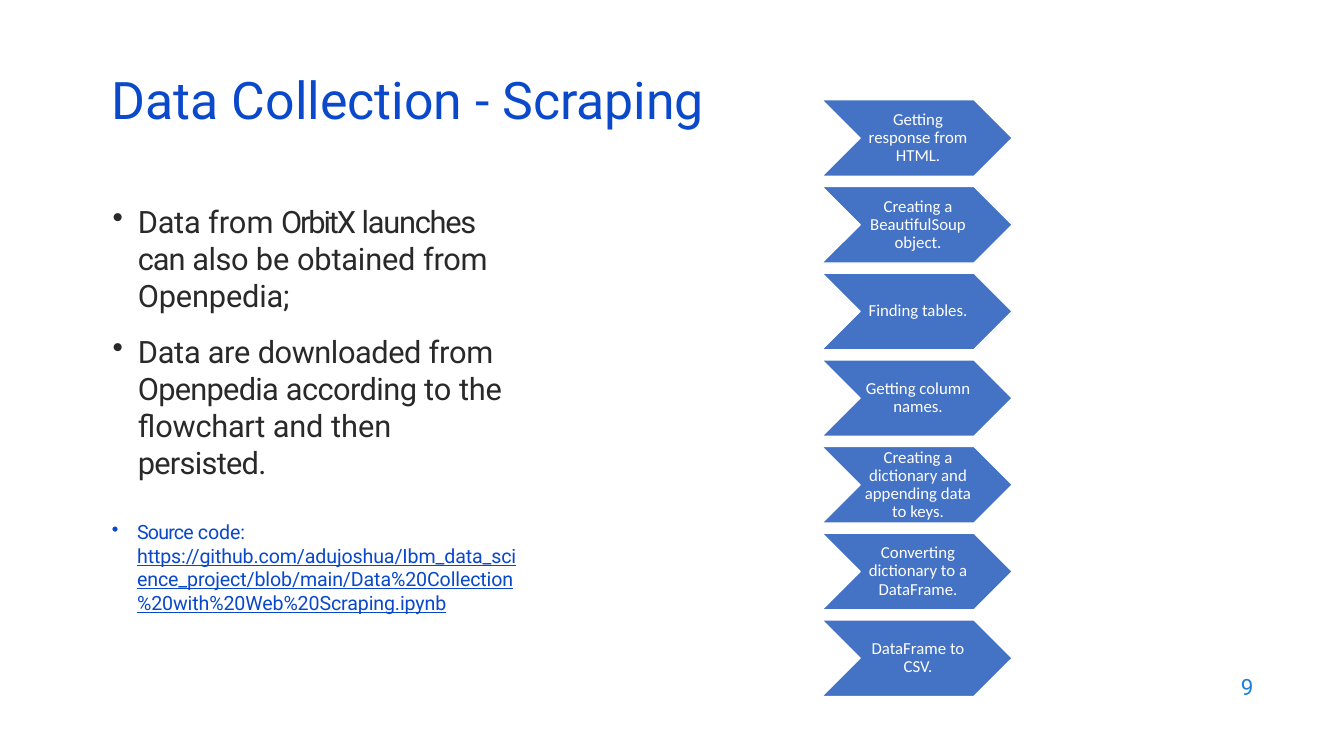
from pptx import Presentation
from pptx.dml.color import RGBColor
from pptx.enum.shapes import MSO_SHAPE
from pptx.enum.text import MSO_ANCHOR, MSO_AUTO_SIZE, PP_ALIGN
from pptx.oxml.ns import qn
from pptx.util import Inches, Pt

TITLE_BLUE = RGBColor(0x0B, 0x49, 0xCB)
SOURCE_BLUE = RGBColor(0x09, 0x48, 0xCB)
NUMBER_BLUE = RGBColor(0x1C, 0x7D, 0xDB)
STEP_BLUE = RGBColor(0x44, 0x72, 0xC4)
INK = RGBColor(0x29, 0x29, 0x29)
WHITE = RGBColor(0xFF, 0xFF, 0xFF)

TITLE = "Data Collection - Scraping"
PAGE_NUMBER = "9"
# Each bullet is a list of (text, letter spacing in points).
POINTS = [
    [("Data ", -0.2), ("from ", 0), ("OrbitX ", -1.5), ("launches ", -0.9),
     ("can ", -0.7), ("also ", -0.3), ("be ", 0), ("obtained ", -0.1),
     ("from ", -0.2), ("Openpedia;", -0.1)],
    [("Data are ", -0.2), ("downloaded ", -0.3), ("from ", -0.2),
     ("Openpedia ", -0.5), ("according ", -0.4), ("to ", 0),
     ("the flowchart ", -0.2), ("and ", -0.1), ("then ", 0),
     ("persisted.", -0.5)],
]
SOURCE_LABEL = [("Source ", -0.6), ("code: ", -0.1)]
SOURCE_URL = ("https://github.com/adujoshua/Ibm_data_science_project/blob/main/"
              "Data%20Collection%20with%20Web%20Scraping.ipynb", -0.1)
STEPS = [
    "Getting response from HTML.",
    "Creating a BeautifulSoup object.",
    "Finding tables.",
    "Getting column names.",
    "Creating a dictionary and appending data to keys.",
    "Converting dictionary to a DataFrame.",
    "DataFrame to CSV.",
]

STEP_LEFT, STEP_TOP, STEP_WIDTH, STEP_HEIGHT = 8.15, 0.99, 1.89, 0.76
STEP_PITCH = 0.86


def write(paragraph, runs, size, color, font="Roboto", align=PP_ALIGN.LEFT,
          line_spacing=1.0, space_before=0, bullet=False, underline=None):
    """Fill a paragraph with (text, letter spacing) runs, or one plain string."""
    paragraph.alignment = align
    paragraph.line_spacing = line_spacing
    paragraph.space_before = Pt(space_before)
    if bullet:
        properties = paragraph._p.get_or_add_pPr()
        properties.set("marL", str(Inches(0.26)))
        properties.set("indent", str(Inches(-0.25)))
        mark = properties.makeelement(qn("a:buChar"), {"char": "•"})
        properties.append(mark)
    for text, spacing in [(runs, 0)] if isinstance(runs, str) else runs:
        run = paragraph.add_run()
        run.text = text
        run.font.name = font
        run.font.size = Pt(size)
        run.font.color.rgb = color
        run.font.underline = underline
        if spacing:
            run.font._element.set("spc", str(round(spacing * 100)))


def set_frame(shape, anchor=MSO_ANCHOR.TOP, insets=(0.1, 0.05, 0.1, 0.05)):
    frame = shape.text_frame
    frame.word_wrap = True
    frame.auto_size = MSO_AUTO_SIZE.NONE
    frame.vertical_anchor = anchor
    (frame.margin_left, frame.margin_top,
     frame.margin_right, frame.margin_bottom) = map(Inches, insets)
    return frame


def add_text_frame(slide, box, **layout):
    return set_frame(slide.shapes.add_textbox(*map(Inches, box)), **layout)


def add_title(slide):
    title = slide.shapes.title
    title.left, title.top, title.width, title.height = map(
        Inches, (1.01, 0.76, 11.5, 0.6))
    frame = set_frame(title, anchor=MSO_ANCHOR.MIDDLE)
    write(frame.paragraphs[0], TITLE, 37, TITLE_BLUE, line_spacing=0.7)


def add_points(slide):
    frame = add_text_frame(slide, (1.01, 1.96, 4.3, 3.1))
    for index, runs in enumerate(POINTS):
        paragraph = frame.add_paragraph() if index else frame.paragraphs[0]
        write(paragraph, runs, 22, INK, bullet=True,
              space_before=14 if index else 0)


def add_source(slide):
    frame = add_text_frame(slide, (1.1, 5.14, 4.08, 0.96),
                           insets=(0, 0.02, 0, 0))
    paragraph = frame.paragraphs[0]
    write(paragraph, SOURCE_LABEL, 14, SOURCE_BLUE, bullet=True)
    write(paragraph, [SOURCE_URL], 14, SOURCE_BLUE, underline=True)


def add_steps(slide):
    for index, step in enumerate(STEPS):
        top = STEP_TOP + index * STEP_PITCH
        chevron = slide.shapes.add_shape(
            MSO_SHAPE.CHEVRON,
            *map(Inches, (STEP_LEFT, top, STEP_WIDTH, STEP_HEIGHT)))
        chevron.shadow.inherit = False
        chevron.fill.solid()
        chevron.fill.fore_color.rgb = STEP_BLUE
        chevron.line.color.rgb = WHITE
        chevron.line.width = Pt(1)
        frame = set_frame(chevron, anchor=MSO_ANCHOR.MIDDLE,
                          insets=(0.02, 0.01, 0, 0.01))
        write(frame.paragraphs[0], step, 12, WHITE, font="Calibri",
              align=PP_ALIGN.CENTER, line_spacing=0.9)


def add_page_number(slide):
    frame = add_text_frame(slide, (9.53, 6.59, 3, 0.44),
                           anchor=MSO_ANCHOR.MIDDLE)
    write(frame.paragraphs[0], PAGE_NUMBER, 16, NUMBER_BLUE,
          align=PP_ALIGN.RIGHT)


def main():
    deck = Presentation()
    deck.slide_width, deck.slide_height = Inches(13.33), Inches(7.5)
    slide = deck.slides.add_slide(deck.slide_layouts[5])
    add_title(slide)
    add_points(slide)
    add_source(slide)
    add_steps(slide)
    add_page_number(slide)
    deck.save("out.pptx")


if __name__ == "__main__":
    main()
